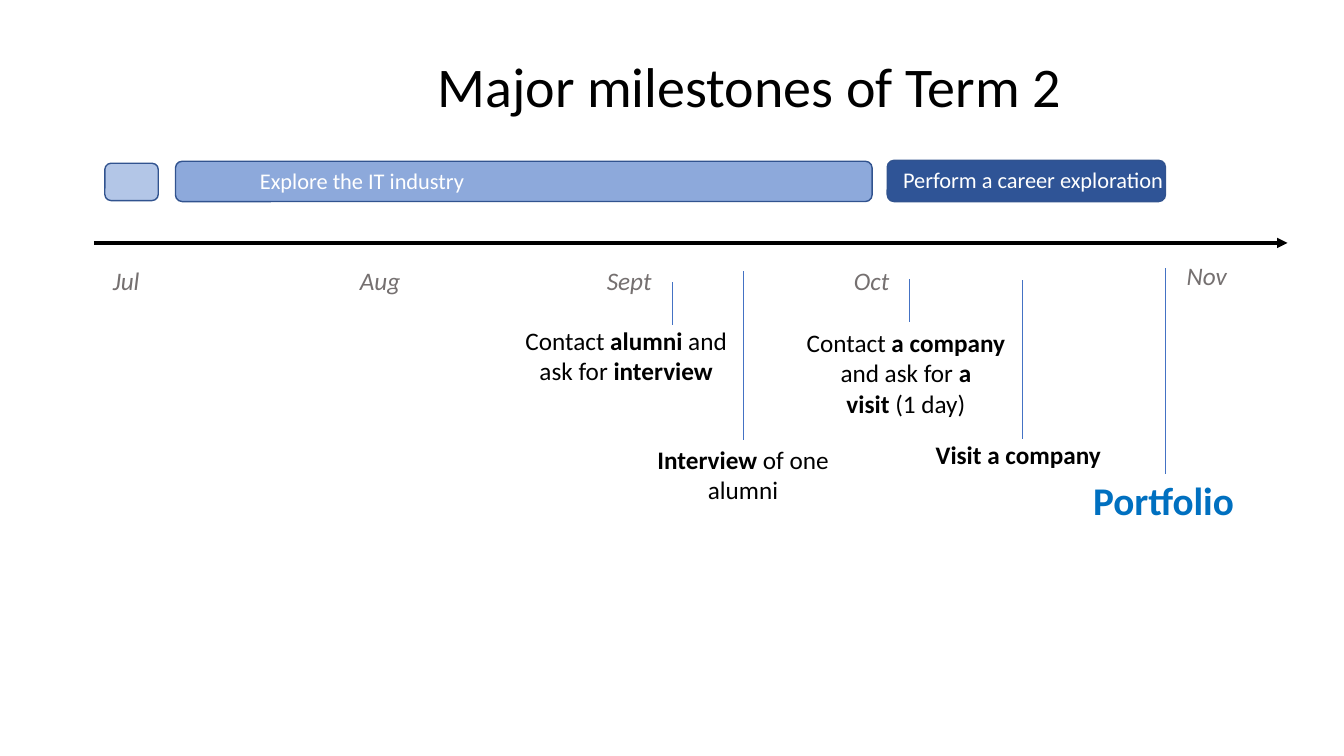
import pptx
import pptx.util
import pptx.dml.color
import pptx.enum.shapes
import pptx.enum.text
import pptx.oxml

Inches = pptx.util.Inches
Shape = pptx.enum.shapes.MSO_SHAPE
Align = pptx.enum.text.PP_ALIGN
NS = 'xmlns:a="http://schemas.openxmlformats.org/drawingml/2006/main"'


def color(code):
    return pptx.dml.color.RGBColor.from_string(code)


def write(frame, text, size=18, ink="000000", italic=False, align=Align.LEFT):
    """Fill a frame; newlines part paragraphs and *stars* mark bold."""
    frame.word_wrap = True
    frame.auto_size = pptx.enum.text.MSO_AUTO_SIZE.NONE
    frame.vertical_anchor = pptx.enum.text.MSO_ANCHOR.TOP
    for row, line in enumerate(text.split("\n")):
        para = frame.add_paragraph() if row else frame.paragraphs[0]
        para.alignment = align
        for part, words in enumerate(line.split("*")):
            if words:
                run = para.add_run()
                run.text = words
                font = run.font
                font.name = "Calibri"
                font.size = pptx.util.Pt(size)
                font.bold = part % 2 == 1
                font.italic = italic
                font.color.rgb = color(ink)


def label(slide, box, text, **style):
    area = slide.shapes.add_textbox(*map(Inches, box))
    write(area.text_frame, text, **style)


def rule(slide, start, end, ink, width):
    line = slide.shapes.add_connector(
        pptx.enum.shapes.MSO_CONNECTOR.STRAIGHT, *map(Inches, start + end))
    line.line.color.rgb = color(ink)
    line.line.width = pptx.util.Pt(width)
    line._element.spPr.append(pptx.oxml.parse_xml(f"<a:effectLst {NS}/>"))
    return line


def title(slide, box, text):
    head = slide.shapes.title
    head.left, head.top, head.width, head.height = map(Inches, box)
    write(head.text_frame, text, size=40)


def phase(slide, box, fill, text="", inset=0):
    """Draw a phase bar, its caption starting at inset from the left."""
    left, top, width, height = box
    bar = slide.shapes.add_shape(Shape.ROUNDED_RECTANGLE, *map(Inches, box))
    bar.shadow.inherit = False
    bar.fill.solid()
    bar.fill.fore_color.rgb = color(fill)
    bar.line.color.rgb = color("31538F")
    bar.line.width = pptx.util.Pt(1)
    if text:
        label(slide, (left + inset, top + 0.01, 2.87, 0.37), text,
              size=16, ink="FFFFFF")


def axis(slide, box):
    """Draw the time arrow along the box top, with the months below."""
    left, top, width, height = box
    arrow = rule(slide, (left, top), (left + width, top), "000000", 2.5)
    arrow.line._get_or_add_ln().append(
        pptx.oxml.parse_xml(f'<a:tailEnd {NS} type="triangle"/>'))
    spots = [(0.09 + 2.45 * step, 0.17) for step in range(4)] + [(10.74, 0.12)]
    for month, (x, y) in zip(("Jul", "Aug", "Sept", "Oct", "Nov"), spots):
        label(slide, (left + x, top + y, 1.61, height), month,
              ink="757070", italic=True)


def event(slide, box, text, stem, **style):
    """Place a milestone in the box; stem is the x, top and end of its line."""
    x, top, end = stem
    label(slide, box, text, align=Align.CENTER, **style)
    rule(slide, (x, top), (x, end), "4472C4", 0.75)


def main():
    deck = pptx.Presentation()
    deck.slide_width, deck.slide_height = Inches(13.33), Inches(7.5)
    slide = deck.slides.add_slide(deck.slide_layouts[5])
    title(slide, (4.24, 0.46, 6.45, 0.77), "Major milestones of Term 2")
    axis(slide, (0.93, 2.41, 11.84, 0.4))
    phase(slide, (1.04, 1.62, 0.53, 0.37), "B3C6E7")
    phase(slide, (1.74, 1.6, 6.91, 0.4), "8DA9DB",
          "Explore the IT industry", inset=0.74)
    phase(slide, (8.8, 1.59, 2.76, 0.41), "2F5496",
          "Perform a career exploration", inset=0.06)
    event(slide, (4.6, 3.18, 3.22, 0.71),
          "Contact *alumni* and\nask for *interview*", (6.67, 2.8, 3.22))
    event(slide, (7.68, 3.2, 2.61, 1.01),
          "Contact *a company*\nand ask for *a*\n*visit* (1 day)",
          (9.02, 2.77, 3.19))
    event(slide, (8.85, 4.31, 2.5, 0.71), "*Visit a company*",
          (10.14, 2.78, 4.36))
    event(slide, (6.37, 4.36, 2, 0.71), "*Interview* of one alumni",
          (7.37, 2.69, 4.37))
    event(slide, (10.29, 4.68, 2.5, 0.57), "*Portfolio*",
          (11.56, 2.66, 4.7), size=28, ink="0070C0")
    deck.save("out.pptx")


if __name__ == "__main__":
    main()
